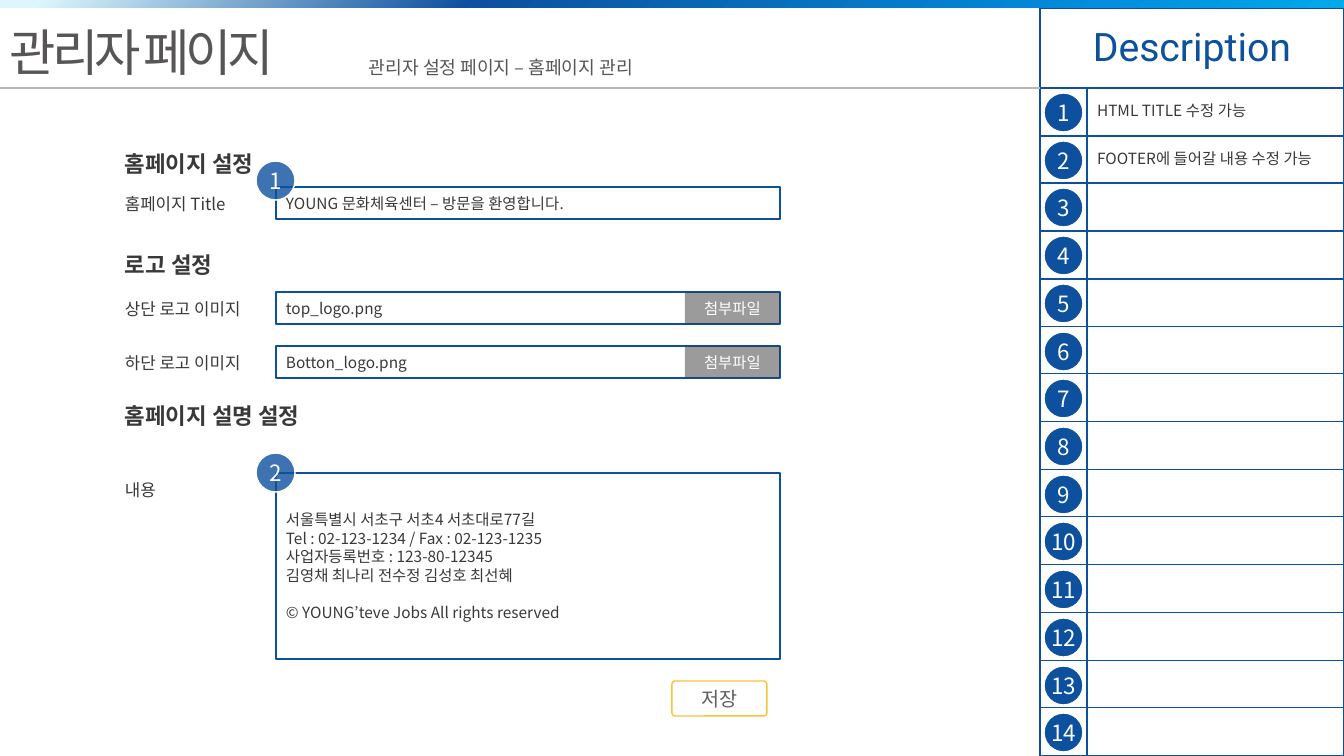
import pptx
import pptx.dml.color
import pptx.enum.shapes
import pptx.enum.text
import pptx.oxml
import pptx.oxml.ns
import pptx.util

# Content
TITLE = "관리자 페이지"
SUBTITLE = "관리자 설정 페이지 – 홈페이지 관리"
DESCRIPTIONS = ["HTML TITLE 수정 가능", "FOOTER에 들어갈 내용 수정 가능"] + [""] * 12
HEADINGS = [("홈페이지 설정", 145), ("로고 설정", 246), ("홈페이지 설명 설정", 397)]
FOOTER = [
    "서울특별시 서초구 서초4 서초대로77길",
    "Tel : 02-123-1234 / Fax : 02-123-1235",
    "사업자등록번호 : 123-80-12345",
    "김영채 최나리 전수정 김성호 최선혜",
    "© YOUNG’teve Jobs All rights reserved",
]
# label, lines, top, height, marker number, attach button
FIELDS = [
    ("상단 로고 이미지", ["top_logo.png"], 292, 32, None, "첨부파일"),
    ("하단 로고 이미지", ["Botton_logo.png"], 346, 32, None, "첨부파일"),
    ("내용", FOOTER, 473, 186, 2, None),
    ("홈페이지 Title", ["YOUNG 문화체육센터 – 방문을 환영합니다."], 187, 32, 1, None),
]
SAVE = "저장"

THEME = {
    "blue": "0D509E", "white": "FFFFFF", "ink": "3A3838", "title": "585555",
    "rule": "B5B5B5", "save_line": "F5C437", "save_text": "5F5F5F",
    "bar": [(3, "DDF6FD"), (35, "0D509E"), (82, "018EDD"), (100, "00A9EA")],
    "korean": "Noto Sans CJK KR", "latin": "Roboto",
    "title_size": 36, "panel_size": 28, "heading_size": 16, "number_size": 16,
    "save_size": 14, "subtitle_size": 13, "label_size": 12, "body_size": 11,
}
LEADING = 1.2
WIDTH, HEIGHT = 1344, 756
PANEL_LEFT, PANEL_TOP, HEADER_BOTTOM, NUMBER_WIDTH = 1040, 8, 88, 47
FIELD_LEFT, FIELD_WIDTH, BUTTON_WIDTH, LABEL_LEFT = 276, 504, 95, 115
MARKER = 39
KINDS = pptx.enum.shapes.MSO_SHAPE
CENTER = pptx.enum.text.PP_ALIGN.CENTER
LEFT = pptx.enum.text.PP_ALIGN.LEFT
MIDDLE = pptx.enum.text.MSO_ANCHOR.MIDDLE


def px(length):
    return round(length * 914400 / 100.8)


def color(name):
    return pptx.dml.color.RGBColor.from_string(THEME[name])


def element(xml):
    return pptx.oxml.parse_xml(f"<a:wrap {pptx.oxml.ns.nsdecls('a')}>{xml}</a:wrap>")[0]


def write(frame, lines, size, ink="ink", align=LEFT, font="korean", **extra):
    for index, line in enumerate(lines):
        para = frame.paragraphs[0] if index == 0 else frame.add_paragraph()
        points = THEME[size]
        para.alignment = align
        if font == "korean":
            para.line_spacing = pptx.util.Pt(round(points * LEADING, 1))
        span = para.add_run()
        span.text = line
        values = {"size": pptx.util.Pt(points), "name": THEME[font], **extra}
        for name, value in values.items():
            setattr(span.font, name, value)
        span.font.color.rgb = color(ink)
        span.font._element.append(element(f'<a:ea typeface="{THEME["korean"]}"/>'))


def add_text(left, top, width, height, line, size, ink="ink", wrap=True, **extra):
    box = page.shapes.add_textbox(px(left), px(top), px(width), px(height))
    box.text_frame.word_wrap = wrap
    write(box.text_frame, [line], size, ink, **extra)
    return box


def add_block(kind, left, top, width, height, fill="white", line=None, alpha=None):
    block = page.shapes.add_shape(kind, px(left), px(top), px(width), px(height))
    block.shadow.inherit = False
    block.fill.solid()
    block.fill.fore_color.rgb = color(fill)
    if alpha:
        tint = block._element.spPr.find(".//" + pptx.oxml.ns.qn("a:srgbClr"))
        tint.append(element(f'<a:alpha val="{alpha * 1000}"/>'))
    if line:
        block.line.color.rgb = color(line)
        block.line.width = pptx.util.Pt(1)
    else:
        block.line.fill.background()
    block.text_frame.vertical_anchor = MIDDLE
    return block


def add_marker(number, left, top, alpha=None):
    marker = add_block(KINDS.OVAL, left, top, MARKER, MARKER, "blue", "white", alpha)
    for side in ("left", "right", "top", "bottom"):
        setattr(marker.text_frame, f"margin_{side}", 0)
    write(marker.text_frame, [str(number)], "number_size", "white", CENTER)


deck = pptx.Presentation()
deck.slide_width, deck.slide_height = px(WIDTH), px(HEIGHT)
page = deck.slides.add_slide(deck.slide_layouts[6])

# Description table
count = len(DESCRIPTIONS)
edges = [HEADER_BOTTOM + round(i * (HEIGHT - HEADER_BOTTOM) / count) for i in range(count + 1)]
table = page.shapes.add_table(
    count + 1, 2, px(PANEL_LEFT), px(PANEL_TOP),
    px(WIDTH - PANEL_LEFT), px(HEIGHT - PANEL_TOP)).table
table.first_row = table.horz_banding = False
table.columns[0].width = px(NUMBER_WIDTH)
table.columns[1].width = px(WIDTH - PANEL_LEFT - NUMBER_WIDTH)
for row, top, bottom in zip(table.rows, [PANEL_TOP] + edges, edges):
    row.height = px(bottom - top)
for cell in table.iter_cells():
    cell.vertical_anchor = MIDDLE
    cell.text_frame.paragraphs[0].font.size = pptx.util.Pt(THEME["body_size"])
    properties = cell._tc.get_or_add_tcPr()
    for side in ("lnL", "lnR", "lnT", "lnB"):
        properties.append(element(
            f'<a:{side} w="12700"><a:solidFill><a:srgbClr val="{THEME["blue"]}"/>'
            f'</a:solidFill></a:{side}>'))
    cell.fill.background()
table.cell(0, 0).merge(table.cell(0, 1))
write(table.cell(0, 0).text_frame, ["Description"], "panel_size", "blue", CENTER, "latin")
for index, description in enumerate(DESCRIPTIONS, 1):
    if description:
        write(table.cell(index, 1).text_frame, [description], "body_size")

# Header
rule = page.shapes.add_connector(
    pptx.enum.shapes.MSO_CONNECTOR.STRAIGHT,
    0, px(HEADER_BOTTOM), px(PANEL_LEFT), px(HEADER_BOTTOM))
rule.line.color.rgb = color("rule")
rule.line.width = pptx.util.Pt(1)
rule._element.spPr.append(element("<a:effectLst/>"))
title = add_text(0, 16, 313, 72, TITLE, "title_size", "title", wrap=False)
title.text_frame.paragraphs[0].runs[0].font._element.set("spc", "-300")
add_text(359, 51, 308, 32, SUBTITLE, "subtitle_size", "title", wrap=False)
bar = add_block(KINDS.RECTANGLE, 0, 0, WIDTH, PANEL_TOP)
stops = "".join(f'<a:gs pos="{place * 1000}"><a:srgbClr val="{tone}"/></a:gs>'
                for place, tone in THEME["bar"])
solid = bar._element.spPr.find(pptx.oxml.ns.qn("a:solidFill"))
solid.getparent().replace(solid, element(
    f'<a:gradFill><a:gsLst>{stops}</a:gsLst><a:lin ang="2700000" scaled="0"/></a:gradFill>'))

# Numbers beside the descriptions
for number, top in enumerate(edges[:-1], 1):
    add_marker(number, PANEL_LEFT + 4, top + 5)

# Settings form
for heading, top in HEADINGS:
    add_text(LABEL_LEFT, top, 323, 37, heading, "heading_size", bold=True)
for label, lines, top, height, number, button in FIELDS:
    add_text(LABEL_LEFT, top + 2, 147, 30, label, "label_size")
    field = add_block(KINDS.RECTANGLE, FIELD_LEFT, top, FIELD_WIDTH, height, line="blue")
    write(field.text_frame, lines, "body_size")
    if len(lines) > 1:
        gap = pptx.util.Pt(round(THEME["body_size"] * LEADING, 1))
        field.text_frame.paragraphs[-1].space_before = gap
    if button:
        attach = add_block(KINDS.RECTANGLE, FIELD_LEFT + FIELD_WIDTH - BUTTON_WIDTH, top,
                           BUTTON_WIDTH, height, "ink", alpha=50)
        write(attach.text_frame, [button], "body_size", "white", CENTER)
    if number:
        add_marker(number, FIELD_LEFT - 20, top - 20 if len(lines) > 1 else top - 26, 80)

# Save button
save = add_block(KINDS.ROUNDED_RECTANGLE, 672, 681, 95, 35, line="save_line")
save.adjustments[0] = 0.09
write(save.text_frame, [SAVE], "save_size", "save_text", CENTER, "latin")

deck.save("out.pptx")
